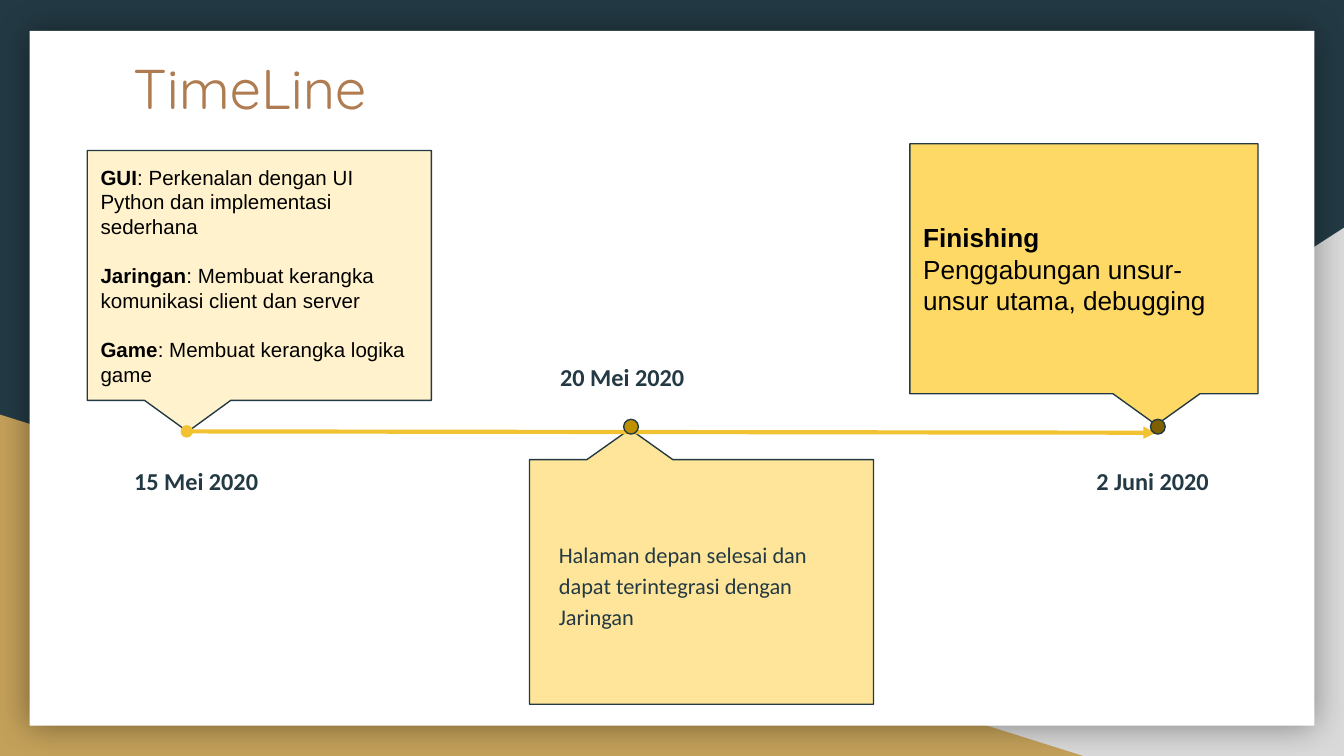
import lxml.etree
import pptx
import pptx.dml.color
import pptx.enum.shapes
import pptx.enum.text
import pptx.oxml.ns
import pptx.util

SHAPE = pptx.enum.shapes.MSO_SHAPE
ANCHOR = pptx.enum.text.MSO_ANCHOR
Inches, Pt = pptx.util.Inches, pptx.util.Pt
qn = pptx.oxml.ns.qn

WIDTH = 10
HEIGHT = WIDTH * 9 / 16
COLORS = {
    "navy": "233A44", "grey": "D9D9D9", "ochre": "C4A15A", "white": "FFFFFF",
    "black": "000000", "title": "AF7B51", "axis": "F1C232",
    "cream": "FFF2CC", "sand": "FFE599", "yellow": "FFD966",
    "gold": "BF9000", "brown": "7F6000",
}

# Content: each paragraph is a list of (text, bold) runs
TITLE = "TimeLine"
DATES = [
    ("15 Mei 2020", (0.9, 3.34, 1.25, 0.5)),
    ("20 Mei 2020", (4.07, 2.56, 1.25, 0.5)),
    ("2 Juni 2020", (8.06, 3.34, 1.11, 0.5)),
]
MIDDLE_NOTE = "Halaman depan selesai dan dapat terintegrasi dengan Jaringan"
# Box, fill, pointer tip as shares of the box from its centre, size, gap, text
CALLOUTS = [
    ((6.77, 1.07, 2.59, 1.86), "yellow", (0.208, 0.625), 14, 0, [
        [("Finishing", True)],
        [("Penggabungan unsur-unsur utama, debugging", False)],
    ]),
    ((3.94, 3.42, 2.56, 1.82), "sand", (-0.208, -0.625), 12, 0, []),
    ((0.65, 1.12, 2.56, 1.86), "cream", (-0.208, 0.625), 11, 13.2, [
        [("GUI", True),
         (": Perkenalan dengan UI Python dan implementasi sederhana", False)],
        [("Jaringan", True),
         (": Membuat kerangka komunikasi client dan server", False)],
        [("Game", True), (": Membuat kerangka logika game", False)],
    ]),
]
AXIS = ((1.39, 3.21), (8.6, 3.22))
DOT_SIZE, DOT_TOP = 0.11, 3.12
DOTS = [(4.64, "gold"), (8.56, "brown")]


def rgb(name):
    return pptx.dml.color.RGBColor.from_string(COLORS[name])


def inches(values):
    return [Inches(value) for value in values]


def add_shape(slide, kind, box, fill, outlined=False):
    shape = slide.shapes.add_shape(kind, *inches(box))
    shape.shadow.inherit = False
    shape.fill.solid()
    shape.fill.fore_color.rgb = rgb(fill)
    if outlined:
        shape.line.color.rgb = rgb("navy")
        shape.line.width = Pt(0.75)
    else:
        shape.line.fill.background()
    return shape


def write_text(shape, paragraphs, font, size, color, anchor=ANCHOR.TOP,
               line_spacing=1, gap=0):
    frame = shape.text_frame
    frame.word_wrap = True
    frame.auto_size = pptx.enum.text.MSO_AUTO_SIZE.NONE
    frame.vertical_anchor = anchor
    frame.margin_left = frame.margin_right = Inches(0.1)
    frame.margin_top = frame.margin_bottom = Inches(0.1)
    for index, runs in enumerate(paragraphs):
        paragraph = frame.add_paragraph() if index else frame.paragraphs[0]
        paragraph.alignment = pptx.enum.text.PP_ALIGN.LEFT
        paragraph.line_spacing = line_spacing
        paragraph.space_before = Pt(gap if index else 0)
        for text, bold in runs:
            run = paragraph.add_run()
            run.text = text
            run.font.name = font
            run.font.size = Pt(size)
            run.font.bold = bold
            run.font.color.rgb = rgb(color)


def add_label(slide, box, text, size, bold):
    label = slide.shapes.add_textbox(*inches(box))
    write_text(label, [[(text, bold)]], "Calibri", size, "navy",
               line_spacing=1.15)


def add_soft_shadow(shape, blur, alpha):
    effects = shape._element.spPr.find(qn("a:effectLst"))
    shadow = lxml.etree.SubElement(effects, qn("a:outerShdw"),
                                   blurRad=str(Pt(blur)), dist="0", dir="0",
                                   algn="ctr", rotWithShape="0")
    color = lxml.etree.SubElement(shadow, qn("a:srgbClr"), val=COLORS["black"])
    lxml.etree.SubElement(color, qn("a:alpha"), val=str(alpha * 1000))


def add_axis(slide):
    start, end = AXIS
    axis = slide.shapes.add_connector(pptx.enum.shapes.MSO_CONNECTOR.STRAIGHT,
                                      *inches(start + end))
    axis.line.color.rgb = rgb("axis")
    axis.line.width = Pt(2.25)
    line = axis.line._get_or_add_ln()
    lxml.etree.SubElement(line, qn("a:headEnd"), type="oval")
    lxml.etree.SubElement(line, qn("a:tailEnd"), type="triangle")
    lxml.etree.SubElement(axis._element.spPr, qn("a:effectLst"))


def main():
    presentation = pptx.Presentation()
    presentation.slide_width, presentation.slide_height = inches((WIDTH, HEIGHT))
    slide = presentation.slides.add_slide(presentation.slide_layouts[5])

    # Backdrop: two corner triangles and a white sheet
    slide.background.fill.solid()
    slide.background.fill.fore_color.rgb = rgb("navy")
    right = add_shape(slide, SHAPE.RIGHT_TRIANGLE,
                      (WIDTH - 6.08, HEIGHT - 3.93, 6.08, 3.93), "grey")
    right._element.spPr.find(qn("a:xfrm")).set("flipH", "1")
    add_shape(slide, SHAPE.RIGHT_TRIANGLE, (0, HEIGHT - 2.54, 8.06, 2.54), "ochre")
    sheet = add_shape(slide, SHAPE.RECTANGLE, (0.22, 0.23, 9.56, 5.17), "white")
    add_soft_shadow(sheet, blur=18, alpha=40)

    # Title, brought in front of the sheet
    title = slide.shapes.title
    title.left, title.top, title.width, title.height = inches((0.89, 0.3, 8.21, 1.04))
    write_text(title, [[(TITLE, False)]], "Quicksand", 30, "title")
    slide.shapes._spTree.append(title._element)

    # Callouts
    for box, fill, tip, size, gap, paragraphs in CALLOUTS:
        callout = add_shape(slide, SHAPE.ROUNDED_RECTANGULAR_CALLOUT, box, fill, True)
        for index, value in enumerate((*tip, 0)):
            callout.adjustments[index] = value
        write_text(callout, paragraphs, "Arial", size, "black", ANCHOR.MIDDLE, gap=gap)

    # Dates, axis and milestones
    for date, box in DATES:
        add_label(slide, box, date, 13, True)
    add_axis(slide)
    for left, fill in DOTS:
        add_shape(slide, SHAPE.OVAL, (left, DOT_TOP, DOT_SIZE, DOT_SIZE), fill, True)
    add_label(slide, (4.06, 3.9, 2.34, 0.85), MIDDLE_NOTE, 12, False)

    presentation.save("out.pptx")


if __name__ == "__main__":
    main()
